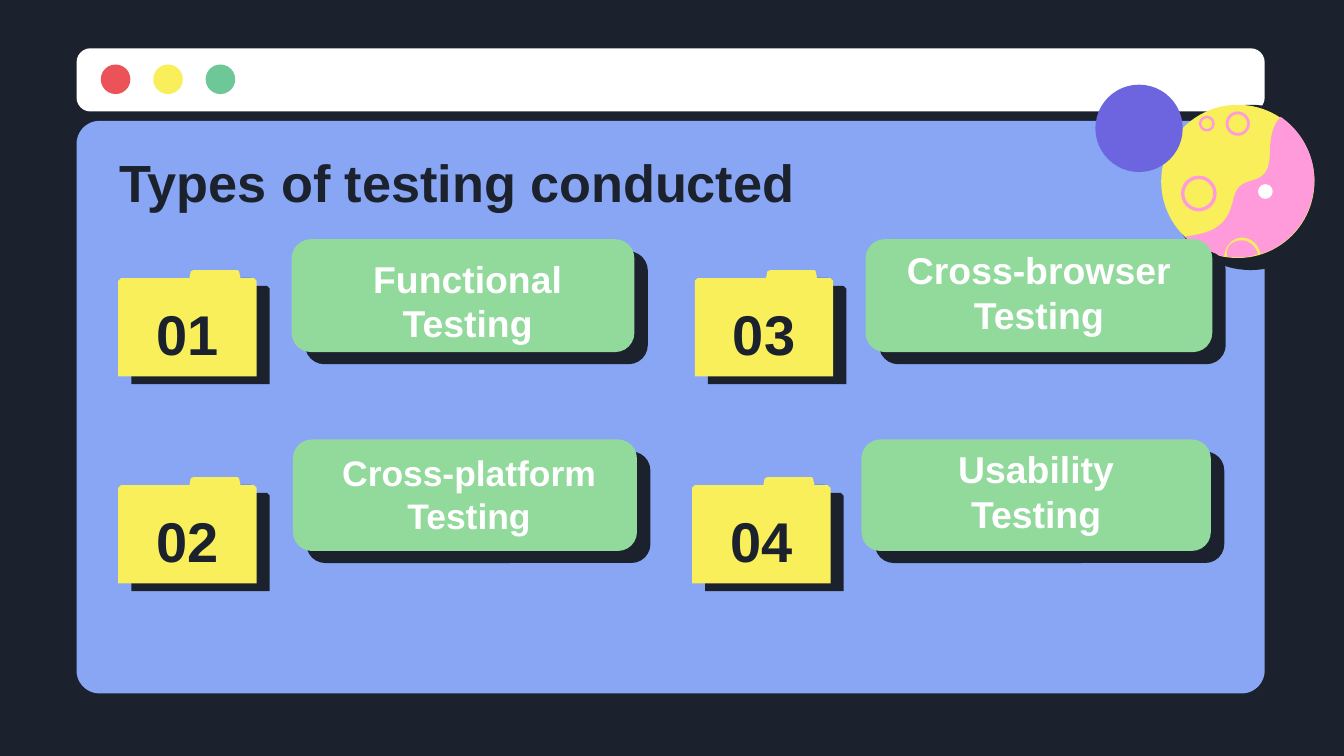
import lxml.etree
import pptx
import pptx.dml.color
import pptx.enum.shapes
import pptx.enum.text
import pptx.oxml.ns
import pptx.util

Inches = pptx.util.Inches
SHAPE = pptx.enum.shapes.MSO_SHAPE
ALIGN = pptx.enum.text.PP_ALIGN
ANCHOR = pptx.enum.text.MSO_ANCHOR

# Theme
THEME = {
    "font": "Arial",
    "ink": "1B222D", "white": "FFFFFF", "panel": "88A6F3", "card": "92D99C",
    "yellow": "F8EF5B", "pink": "FF9BDA", "purple": "6D65E0",
    "red": "EB5358", "green": "6DC797",
    "title": 28, "number": 30,
}

# Content: boxes are left, top, width, height in inches
TITLE = "Types of testing conducted"
CARDS = [
    {"number": "01", "text": "Functional Testing", "size": 20, "folder": (0.88, 2.01),
     "box": (2.17, 1.78, 2.55, 0.84), "text_box": (2.45, 1.94, 2.06, 0.73)},
    {"number": "02", "text": "Cross-platform Testing", "size": 19, "folder": (0.88, 3.55),
     "box": (2.18, 3.27, 2.56, 0.83), "text_box": (2.27, 3.31, 2.44, 0.78)},
    {"number": "03", "text": "Cross-browser Testing", "size": 20, "folder": (5.17, 2.01),
     "box": (6.44, 1.78, 2.58, 0.84), "text_box": (6.49, 1.88, 2.48, 0.73)},
    {"number": "04", "text": "Usability Testing", "size": 20, "folder": (5.15, 3.55),
     "box": (6.41, 3.27, 2.6, 0.83), "text_box": (6.68, 3.36, 2.06, 0.73)},
]
WINDOW_BUTTONS = ["red", "yellow", "green"]

# Folder outline, measured from its top left corner
FOLDER = [(0, 0.79), (0, 0.08), (0.02, 0.06), (0.53, 0.06), (0.54, 0.01), (0.56, 0),
          (0.89, 0), (0.9, 0.01), (0.91, 0.06), (1.01, 0.06), (1.03, 0.08), (1.03, 0.79)]

# Planet: rings are centre x, centre y, radius, line width in points
RINGS = [(8.92, 1.44, 0.12, 1.8), (9.21, 0.92, 0.08, 1.5), (8.98, 0.92, 0.05, 1.3)]
# Bezier outlines: a start point, then two control points and an end point per curve
PLANET_LAND = [
    (9.53, 0.87), (9.69, 0.98), (9.78, 1.16), (9.78, 1.34),
    (9.78, 1.6), (9.61, 1.82), (9.38, 1.89), (9.36, 1.8), (9.29, 1.76), (9.22, 1.77),
    (9.16, 1.78), (9.11, 1.84), (9.11, 1.91), (9, 1.89), (8.9, 1.84), (8.82, 1.76),
    (9.06, 1.73), (9.14, 1.66), (9.18, 1.47), (9.23, 1.26), (9.45, 1.44), (9.45, 1.13),
    (9.45, 0.98), (9.49, 0.91), (9.53, 0.87)]
PLANET_CRATER = [
    (9.36, 1.89), (9.34, 1.82), (9.28, 1.78), (9.22, 1.79),
    (9.15, 1.8), (9.12, 1.85), (9.13, 1.91), (9.21, 1.92), (9.29, 1.92), (9.36, 1.89)]


def color(name):
    return pptx.dml.color.RGBColor.from_string(THEME[name])


def paint(shape, fill):
    shape.shadow.inherit = False
    shape.fill.solid()
    shape.fill.fore_color.rgb = color(fill)
    shape.line.fill.background()
    return shape


def add_preset(slide, kind, box, fill, corner=None):
    shape = slide.shapes.add_shape(kind, *map(Inches, box))
    if corner is not None:
        shape.adjustments[0] = corner
    return paint(shape, fill)


def add_circle(slide, x, y, radius, fill):
    box = (x - radius, y - radius, 2 * radius, 2 * radius)
    return add_preset(slide, SHAPE.OVAL, box, fill)


def add_outline(slide, points, fill):
    start, *rest = [(Inches(x), Inches(y)) for x, y in points]
    builder = slide.shapes.build_freeform(*start)
    builder.add_line_segments(rest, close=True)
    return paint(builder.convert_to_shape(), fill)


def curve_points(nodes, steps=12):
    points = [nodes[0]]
    for first in range(0, len(nodes) - 1, 3):
        curve = nodes[first:first + 4]
        for step in range(1, steps + 1):
            t = step / steps
            weights = ((1 - t) ** 3, 3 * t * (1 - t) ** 2, 3 * t * t * (1 - t), t ** 3)
            points.append(tuple(sum(w * node[axis] for w, node in zip(weights, curve))
                                for axis in (0, 1)))
    return points


def set_text(shape, text, size, ink, align, anchor):
    frame = shape.text_frame
    frame.text = text
    frame.word_wrap = True
    frame.auto_size = pptx.enum.text.MSO_AUTO_SIZE.NONE
    frame.vertical_anchor = anchor
    frame.margin_left = frame.margin_right = Inches(0.1)
    frame.margin_top = frame.margin_bottom = Inches(0.1)
    paragraph = frame.paragraphs[0]
    paragraph.alignment = align
    font = paragraph.font
    font.name, font.size, font.bold = THEME["font"], pptx.util.Pt(size), True
    font.color.rgb = color(ink)


def add_text(slide, box, *style):
    set_text(slide.shapes.add_textbox(*map(Inches, box)), *style)


def add_hard_shadow(shape):
    qn = pptx.oxml.ns.qn
    effects = shape._element.spPr.find(qn("a:effectLst"))
    shadow = lxml.etree.SubElement(effects, qn("a:outerShdw"), blurRad="0", dist="104140",
                                   dir="1860000", algn="bl", rotWithShape="0")
    lxml.etree.SubElement(shadow, qn("a:srgbClr"), val=THEME["ink"])


def add_window(slide):
    add_preset(slide, SHAPE.ROUNDED_RECTANGLE, (0.57, 0.36, 8.84, 0.47), "white", 0.22)
    for index, fill in enumerate(WINDOW_BUTTONS):
        add_circle(slide, 0.86 + 0.39 * index, 0.59, 0.11, fill)
    add_preset(slide, SHAPE.ROUNDED_RECTANGLE, (0.57, 0.9, 8.84, 4.26), "panel", 0.04)


def add_planet(slide):
    add_preset(slide, SHAPE.OVAL, (8.69, 0.78, 1.23, 1.23), "ink")
    add_circle(slide, 9.21, 1.35, 0.57, "yellow")
    for x, y, radius, width in RINGS:
        ring = add_circle(slide, x, y, radius, "yellow")
        ring.fill.background()
        ring.line.color.rgb = color("pink")
        ring.line.width = pptx.util.Pt(width)
    for outline in (PLANET_LAND, PLANET_CRATER):
        add_outline(slide, curve_points(outline), "pink")
    add_preset(slide, SHAPE.OVAL, (9.36, 1.37, 0.11, 0.11), "white")
    add_preset(slide, SHAPE.OVAL, (8.15, 0.63, 0.65, 0.65), "purple")


def add_card(slide, card):
    left, top, width, height = card["box"]
    for offset_x, offset_y, fill in ((0.1, 0.09, "ink"), (0, 0, "card")):
        add_preset(slide, SHAPE.ROUNDED_RECTANGLE,
                   (left + offset_x, top + offset_y, width, height), fill, 0.17)
    add_text(slide, card["text_box"], card["text"], card["size"], "white",
             ALIGN.CENTER, ANCHOR.BOTTOM)

    left, top = card["folder"]
    add_hard_shadow(add_outline(slide, [(left + x, top + y) for x, y in FOLDER], "yellow"))
    add_text(slide, (left + 0.08, top + 0.14, 0.87, 0.65), card["number"],
             THEME["number"], "ink", ALIGN.CENTER, ANCHOR.MIDDLE)


def main():
    presentation = pptx.Presentation()
    presentation.slide_width = Inches(10)
    presentation.slide_height = presentation.slide_width * 9 // 16
    slide = presentation.slides.add_slide(presentation.slide_layouts[5])
    slide.background.fill.solid()
    slide.background.fill.fore_color.rgb = color("ink")

    add_window(slide)
    add_planet(slide)
    for card in CARDS:
        add_card(slide, card)

    # Title, brought in front of the window
    title = slide.shapes.title
    title.left, title.top, title.width, title.height = map(Inches, (0.79, 1.02, 8.43, 0.62))
    set_text(title, TITLE, THEME["title"], "ink", ALIGN.LEFT, ANCHOR.TOP)
    slide.shapes._spTree.append(title._element)

    presentation.save("out.pptx")


if __name__ == "__main__":
    main()
